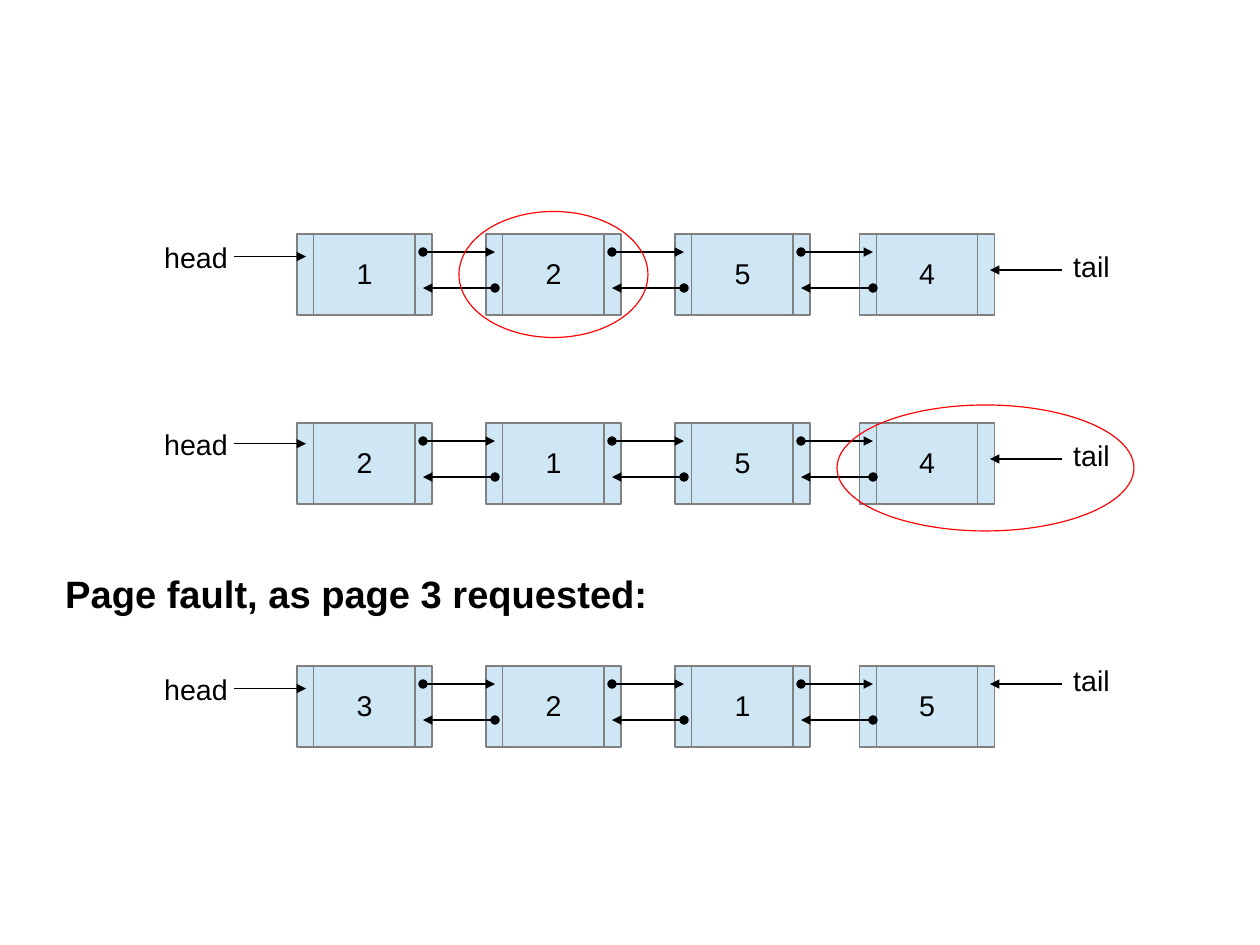
import pptx
import pptx.dml.color
import pptx.enum.shapes
import pptx.enum.text
import pptx.oxml.ns
import pptx.util
from lxml import etree

Cm = pptx.util.Cm
SHAPES = pptx.enum.shapes.MSO_SHAPE

COLORS = {"text": "000000", "arrow": "000000", "node": "CFE7F5",
          "node_line": "808080", "highlight": "FF0000"}

NODE_LEFTS = [6.6, 10.8, 15, 19.1]
NODE_WIDTH, NODE_HEIGHT = 3, 1.8
LINK_START, LINK_LENGTH, LINK_PITCH = 9.4, 1.6, 4.2

# top of the nodes, page numbers, height of the head arrow, height of the tail arrow
PAGE_LISTS = [
    (5.2, "1254", 5.7, 6),
    (9.4, "2154", 9.86, 10.2),
    (14.8, "3215", 15.3, 15.2),
]


def color(name):
    return pptx.dml.color.RGBColor.from_string(COLORS[name])


class ListDiagram:
    """Draws linked lists of pages on one slide in a common style."""

    font_name = "Arial"
    line_width = pptx.util.Pt(0.75)

    def __init__(self, slide):
        self.slide = slide

    def set_text(self, shape, text, size=18, bold=False, centred=False, wrap=True):
        frame = shape.text_frame
        frame.word_wrap = wrap
        frame.margin_left = frame.margin_right = Cm(0.25)
        frame.margin_top, frame.margin_bottom = Cm(0.16), Cm(0.13)
        frame.vertical_anchor = (pptx.enum.text.MSO_ANCHOR.MIDDLE if centred
                                 else pptx.enum.text.MSO_ANCHOR.TOP)
        paragraph = frame.paragraphs[0]
        paragraph.text = text
        paragraph.line_spacing = 0.94
        paragraph.alignment = (pptx.enum.text.PP_ALIGN.CENTER if centred
                               else pptx.enum.text.PP_ALIGN.LEFT)
        paragraph.font.name = self.font_name
        paragraph.font.size = pptx.util.Pt(size)
        paragraph.font.bold = bold
        paragraph.font.color.rgb = color("text")

    def outline(self, kind, left, top, width, height, line_color):
        shape = self.slide.shapes.add_shape(
            kind, Cm(left), Cm(top), Cm(width), Cm(height))
        shape.shadow.inherit = False
        shape.fill.background()
        shape.line.color.rgb = color(line_color)
        shape.line.width = self.line_width
        return shape

    def node(self, left, top, page):
        shape = self.outline(SHAPES.FLOWCHART_PREDEFINED_PROCESS, left, top,
                             NODE_WIDTH, NODE_HEIGHT, "node_line")
        shape.fill.solid()
        shape.fill.fore_color.rgb = color("node")
        self.set_text(shape, page, centred=True, wrap=False)

    def highlight(self, left, top, width, height):
        self.outline(SHAPES.OVAL, left, top, width, height, "highlight")

    def label(self, text, left, top, width=2.4, height=0.97, **style):
        box = self.slide.shapes.add_textbox(Cm(left), Cm(top), Cm(width), Cm(height))
        self.set_text(box, text, **style)

    def arrow(self, start, end, y, dotted_start=False):
        """Draw a horizontal arrow, with a dot at its start if asked for."""
        connector = self.slide.shapes.add_connector(
            pptx.enum.shapes.MSO_CONNECTOR.STRAIGHT, Cm(start), Cm(y), Cm(end), Cm(y))
        connector.line.color.rgb = color("arrow")
        connector.line.width = self.line_width
        qn = pptx.oxml.ns.qn
        properties = connector.element.spPr
        line = properties.find(qn("a:ln"))
        if dotted_start:
            etree.SubElement(line, qn("a:headEnd"), type="oval")
        etree.SubElement(line, qn("a:tailEnd"), type="triangle")
        etree.SubElement(properties, qn("a:effectLst"))

    def page_list(self, top, pages, head_y, tail_y):
        for left, page in zip(NODE_LEFTS, pages):
            self.node(left, top, page)
        for index in range(len(pages) - 1):
            start = LINK_START + index * LINK_PITCH
            end = start + LINK_LENGTH
            self.arrow(start, end, top + 0.4, dotted_start=True)
            self.arrow(end, start, top + 1.2, dotted_start=True)
        self.label("head", 3.4, head_y - 0.46)
        self.arrow(5.2, 6.8, head_y)
        self.label("tail", 23.6, tail_y - 0.56)
        self.arrow(23.6, 22, tail_y)


def main():
    presentation = pptx.Presentation()
    presentation.slide_width, presentation.slide_height = Cm(28), Cm(21)
    slide = presentation.slides.add_slide(presentation.slide_layouts[6])
    diagram = ListDiagram(slide)
    for page_list in PAGE_LISTS:
        diagram.page_list(*page_list)
    diagram.highlight(10.2, 4.7, 4.2, 2.8)
    diagram.highlight(18.6, 9, 6.6, 2.8)
    diagram.label("Page fault, as page 3 requested:", 1.2, 12.6, 13.46, 1.2,
                  size=24, bold=True, wrap=False)
    presentation.save("out.pptx")


if __name__ == "__main__":
    main()
